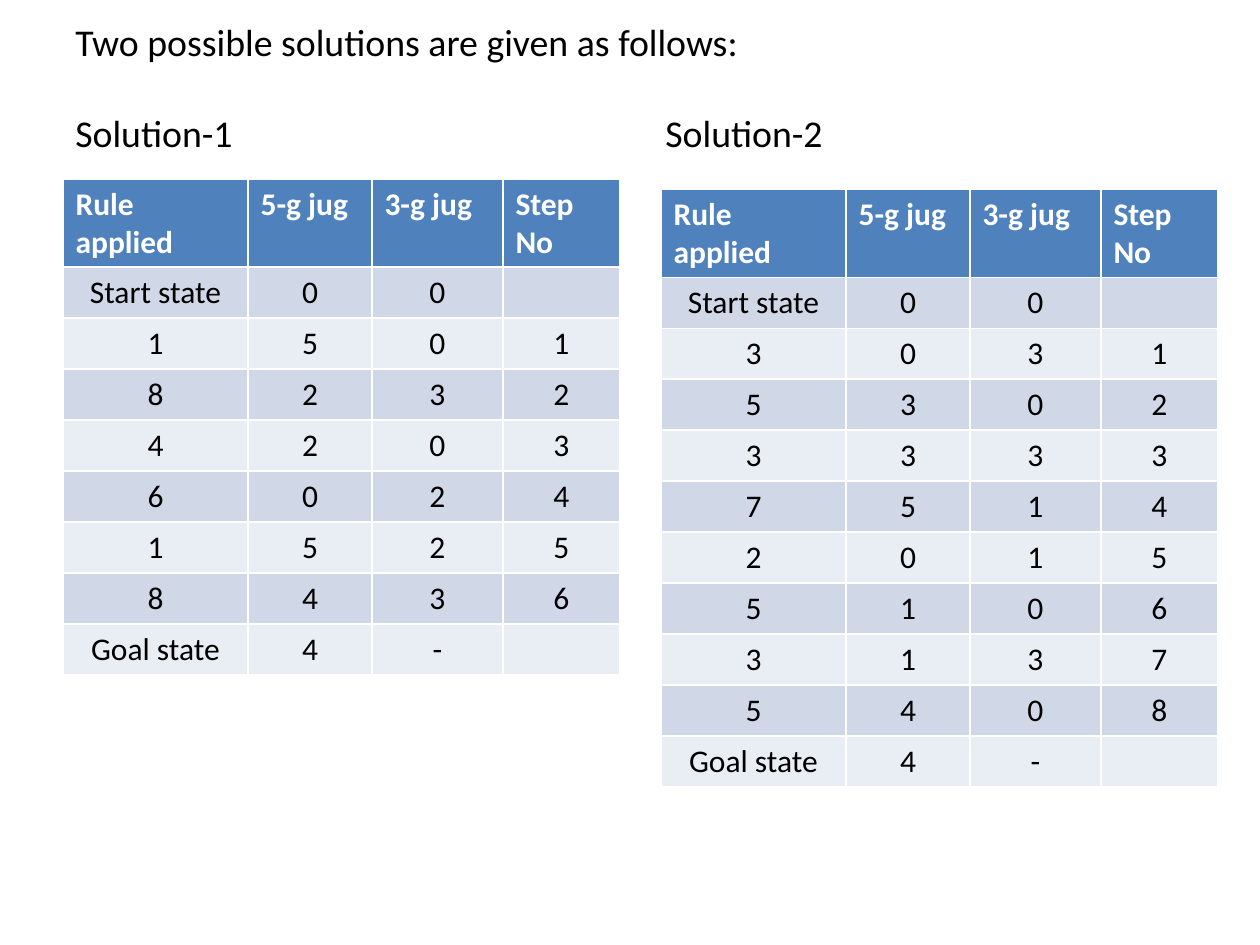
from lxml.etree import SubElement
from pptx import Presentation
from pptx.dml.color import RGBColor as RGB
from pptx.enum.text import MSO_ANCHOR as Anchor, PP_ALIGN as Align
from pptx.oxml.ns import qn
from pptx.util import Pt

PX = 914400 / 126
BLACK = RGB(0, 0, 0)
WHITE = RGB(255, 255, 255)
BLUE = RGB(0x4F, 0x81, 0xBD)
BANDS = [RGB(0xE9, 0xED, 0xF4), RGB(0xD0, 0xD8, 0xE8)]

HEAD = ["Rule applied", "5-g jug", "3-g jug", "Step No"]
WIDTHS = [185, 124, 131, 117]
HEAD_H, ROW_H = 88, 51
TABLES = [
    (63, 179, [(1, 5, 0), (8, 2, 3), (4, 2, 0), (6, 0, 2), (1, 5, 2), (8, 4, 3)]),
    (661, 189, [(3, 0, 3), (5, 3, 0), (3, 3, 3), (7, 5, 1),
                (2, 0, 1), (5, 1, 0), (3, 1, 3), (5, 4, 0)]),
]


def px(n):
    return round(n * PX)


def add_run(para, text, size, color, bold=False):
    run = para.add_run()
    run.text = text
    font = run.font
    font.name, font.size, font.bold = "Calibri", Pt(size), bold
    font.color.rgb = color


deck = Presentation()
deck.slide_width, deck.slide_height = px(1260), px(945)
slide = deck.slides.add_slide(deck.slide_layouts[6])

box = slide.shapes.add_textbox(px(63), px(13), px(1134), px(150))
frame = box.text_frame
frame.word_wrap = True
frame.vertical_anchor = Anchor.TOP
add_run(frame.paragraphs[0], "Two possible solutions are given as follows:", 21.6, BLACK)

para = frame.add_paragraph()
para.space_before = Pt(26)
tabs = SubElement(para._p.get_or_add_pPr(), qn("a:tabLst"))
SubElement(tabs, qn("a:tab"), pos=str(px(590)), algn="l")
add_run(para, "Solution-1\tSolution-2", 21.6, BLACK)

for left, top, steps in TABLES:
    rows = [HEAD, ("Start state", 0, 0, "")]
    rows += [(*step, n) for n, step in enumerate(steps, 1)]
    rows.append(("Goal state", 4, "-", ""))
    height = HEAD_H + ROW_H * (len(rows) - 1)
    table = slide.shapes.add_table(
        len(rows), len(HEAD), px(left), px(top), px(sum(WIDTHS)), px(height)).table
    for col, width in zip(table.columns, WIDTHS):
        col.width = px(width)
    for r, row in enumerate(rows):
        table.rows[r].height = px(ROW_H if r else HEAD_H)
        for c, value in enumerate(row):
            cell = table.cell(r, c)
            cell.fill.solid()
            cell.fill.fore_color.rgb = BANDS[r % 2] if r else BLUE
            para = cell.text_frame.paragraphs[0]
            para.alignment = Align.CENTER if r else Align.LEFT
            if value != "":
                add_run(para, str(value), 18, BLACK if r else WHITE, r == 0)

deck.save("out.pptx")
